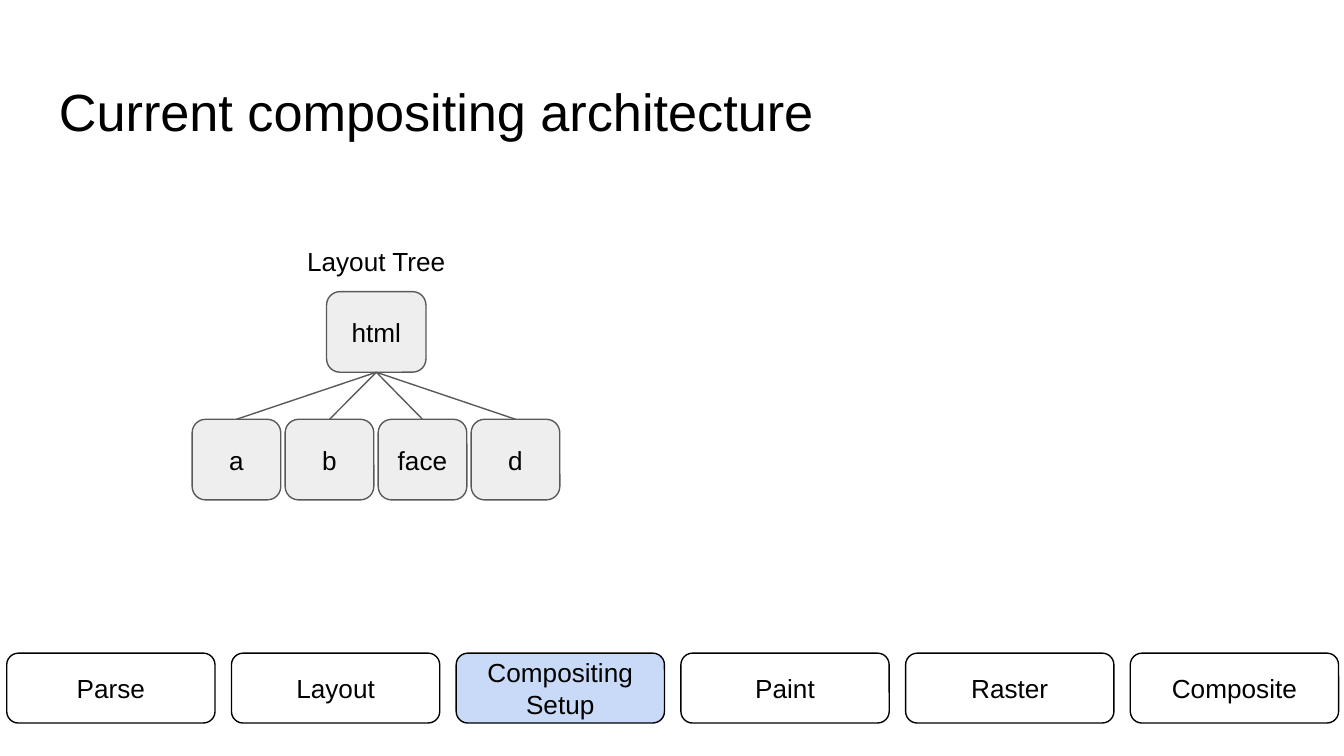
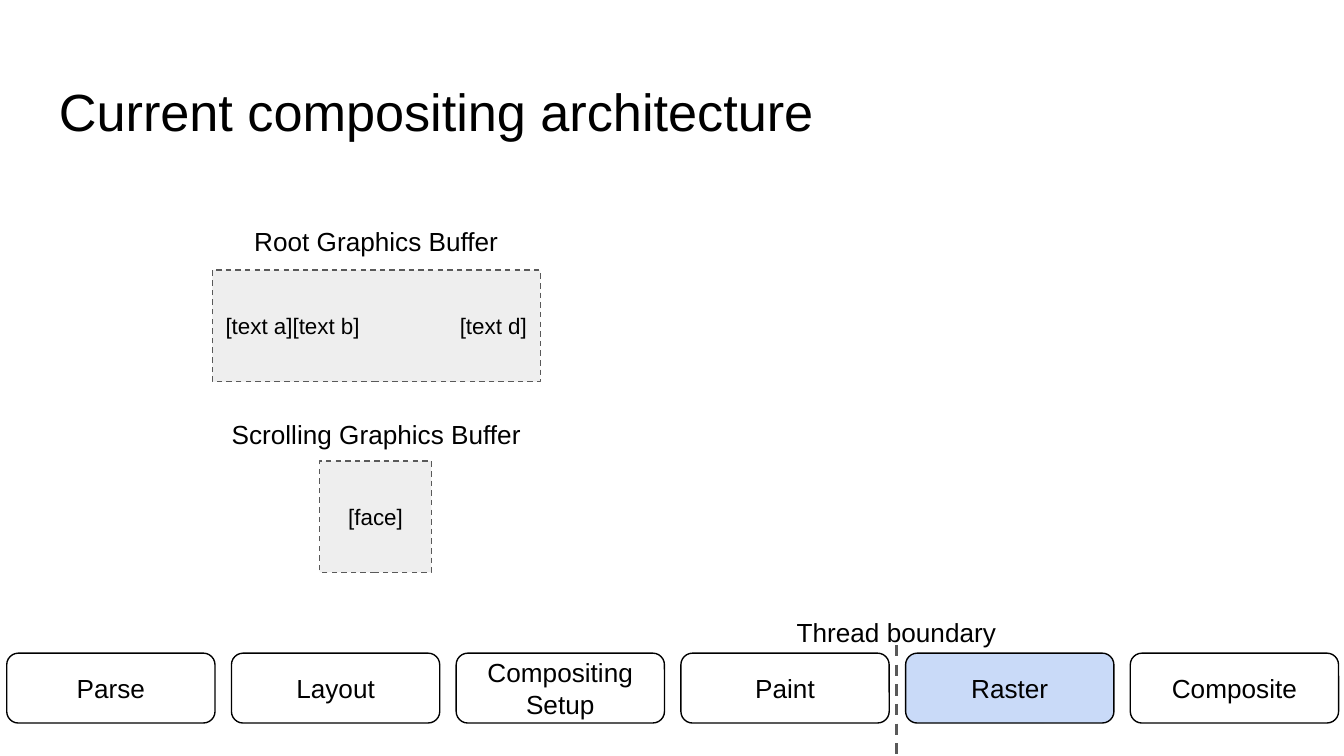
from dataclasses import dataclass
from typing import Optional

from lxml.etree import SubElement
from pptx import Presentation
from pptx.dml.color import RGBColor
from pptx.enum.dml import MSO_LINE
from pptx.enum.shapes import MSO_CONNECTOR, MSO_SHAPE
from pptx.enum.text import MSO_ANCHOR, PP_ALIGN
from pptx.oxml.ns import qn
from pptx.util import Inches, Pt

# Grid: 100 columns across the slide, square cells
WIDTH, HEIGHT = Inches(10), Inches(5.625)
CELL = WIDTH / 100
ROWS = HEIGHT / CELL

BLACK = RGBColor(0x00, 0x00, 0x00)
WHITE = RGBColor(0xFF, 0xFF, 0xFF)
GREY = RGBColor(0xEE, 0xEE, 0xEE)
DARK_GREY = RGBColor(0x59, 0x59, 0x59)
HIGHLIGHT = RGBColor(0xC9, 0xDA, 0xF8)

FONT = "Arial"
TITLE = "Current compositing architecture"
STAGES = ["Parse", "Layout", "Compositing\nSetup", "Paint", "Raster", "Composite"]


@dataclass(frozen=True)
class Box:
    """Position and size in grid cells."""
    col: float
    row: float
    cols: float
    rows: float

    @property
    def center(self) -> float:
        return self.col + self.cols / 2

    @property
    def bottom(self) -> float:
        return self.row + self.rows

    def emu(self) -> list[int]:
        return [cells(v) for v in (self.col, self.row, self.cols, self.rows)]


def cells(n: float) -> int:
    return round(n * CELL)


def write(sp, text: str, *, size: float = 14, align=PP_ALIGN.CENTER,
          anchor=MSO_ANCHOR.MIDDLE) -> None:
    tf = sp.text_frame
    tf.word_wrap = True
    tf.vertical_anchor = anchor
    tf.margin_left = tf.margin_right = tf.margin_top = tf.margin_bottom = Inches(0.1)
    for i, line in enumerate(text.split("\n")):
        p = tf.paragraphs[0] if i == 0 else tf.add_paragraph()
        p.alignment = align
        r = p.add_run()
        r.text = line
        r.font.name, r.font.size = FONT, Pt(size)
        r.font.color.rgb = BLACK


def add_text(s, box: Box, text: str, **fmt) -> None:
    write(s.shapes.add_textbox(*box.emu()), text, **fmt)


def add_caption(s, box: Box, text: str) -> None:
    add_text(s, box, text, anchor=MSO_ANCHOR.BOTTOM)


def add_box(s, box: Box, text: str = "", *, kind=MSO_SHAPE.ROUNDED_RECTANGLE,
            fill: RGBColor = GREY, line: RGBColor = DARK_GREY, dash=None) -> None:
    sp = s.shapes.add_shape(kind, *box.emu())
    sp.shadow.inherit = False
    sp.fill.solid()
    sp.fill.fore_color.rgb = fill
    sp.line.color.rgb, sp.line.width = line, Pt(0.75)
    if dash:
        sp.line.dash_style = dash
    if text:
        write(sp, text)


def add_line(s, x1: float, y1: float, x2: float, y2: float, *,
             width: float = 0.75, dash: Optional[MSO_LINE] = None) -> None:
    c = s.shapes.add_connector(MSO_CONNECTOR.STRAIGHT, *map(cells, (x1, y1, x2, y2)))
    c.line.color.rgb, c.line.width = DARK_GREY, Pt(width)
    if dash:
        c.line.dash_style = dash
    SubElement(c.element.spPr, qn("a:effectLst"))


def add_pipeline_slide(prs, active: str):
    """Title on top, pipeline stages along the foot with one highlighted."""
    s = prs.slides.add_slide(prs.slide_layouts[6])
    add_text(s, Box(3.4, 4.9, 93.2, 6.3), TITLE, size=28,
             align=PP_ALIGN.LEFT, anchor=MSO_ANCHOR.TOP)
    for i, stage in enumerate(STAGES):
        add_box(s, Box(0.5 + i * 16.72, 48.6, 15.5, 5.2), stage, line=BLACK,
                fill=HIGHLIGHT if stage == active else WHITE)
    return s


def build_layout_tree(prs) -> None:
    s = add_pipeline_slide(prs, "Compositing\nSetup")
    root = Box(24.3, 21.7, 7.4, 6)
    add_box(s, root, "html")
    for i, name in enumerate(["a", "b", "face", "d"]):
        leaf = Box(14.3 + i * 6.92, 31.2, 6.6, 6)
        add_line(s, root.center, root.bottom, leaf.center, leaf.row)
        add_box(s, leaf, name)
    add_caption(s, Box(15.8, 15.1, 24.4, 6.5), "Layout Tree")


def build_graphics_buffers(prs) -> None:
    s = add_pipeline_slide(prs, "Raster")

    # Buffers with their captions
    root = Box(15.8, 20.1, 24.4, 8.3)
    scrolling = Box(23.8, 34.3, 8.3, 8.3)
    for buffer in (root, scrolling):
        add_box(s, buffer, kind=MSO_SHAPE.RECTANGLE, dash=MSO_LINE.DASH)
    add_caption(s, Box(root.col, 13.6, root.cols, 6.5), "Root Graphics Buffer")
    add_caption(s, Box(root.col, 28, root.cols, 6.5), "Scrolling Graphics Buffer")

    # Buffer contents
    add_text(s, root, "[text a][text b]", size=12, align=PP_ALIGN.LEFT)
    add_text(s, root, "[text d]", size=12, align=PP_ALIGN.RIGHT)
    add_text(s, scrolling, "[face]", size=12)

    # Thread boundary between Paint and Raster
    label = Box(56, 44.8, 21.4, 4.4)
    add_line(s, label.center, 48, label.center, ROWS, width=1.5, dash=MSO_LINE.DASH)
    add_caption(s, label, "Thread boundary")


def main() -> None:
    prs = Presentation()
    prs.slide_width, prs.slide_height = WIDTH, HEIGHT
    build_layout_tree(prs)
    build_graphics_buffers(prs)
    prs.save("out.pptx")


if __name__ == "__main__":
    main()
